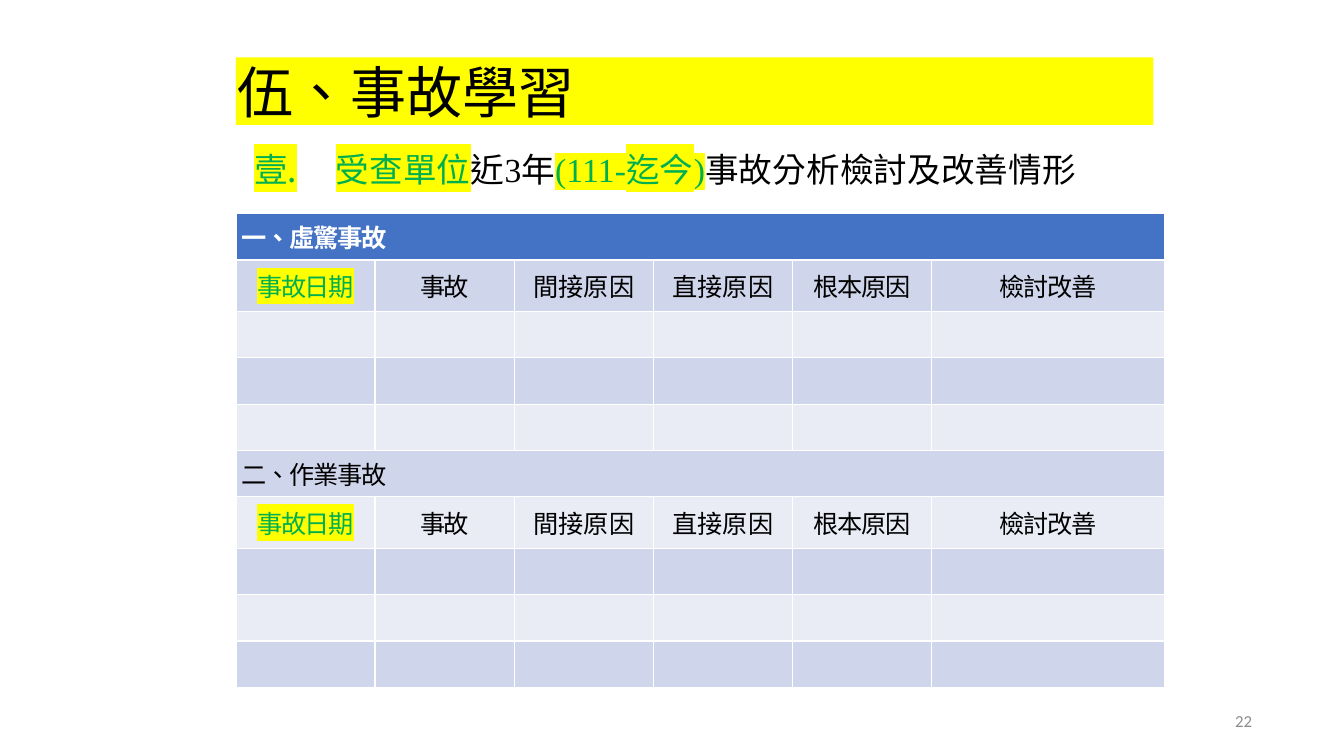
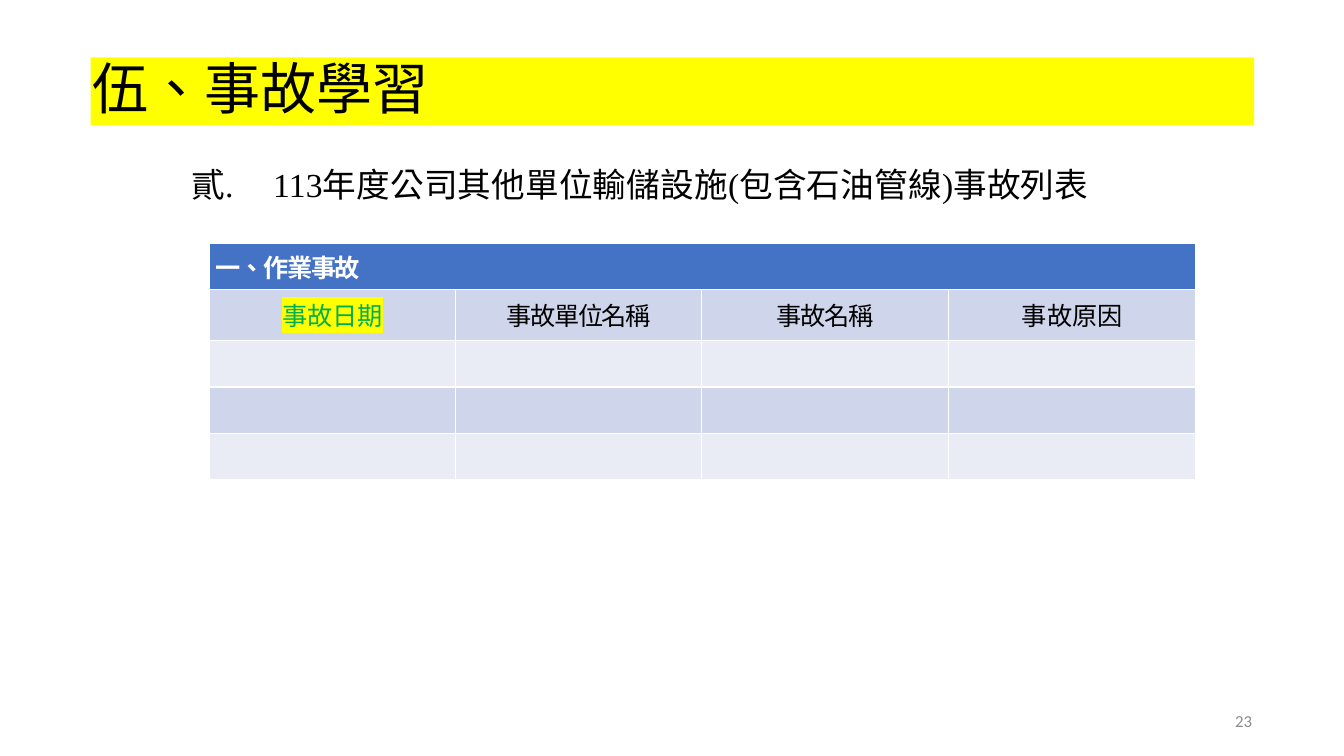
import pptx
import pptx.util
import pptx.dml.color
import pptx.enum.shapes
import pptx.enum.text
import pptx.oxml
import pptx.oxml.ns
from pptx.util import Inches

THEME = {
    "black": "000000", "white": "FFFFFF", "gray": "8C8C8C", "green": "00B050",
    "yellow": "FFFF00", "header": "4472C4", "bands": ("E9EBF5", "CFD5EA"),
    "serif": "Times New Roman", "sans": "Noto Sans CJK SC", "number": "Calibri",
    "title_size": 40, "subtitle_size": 24, "table_size": 18, "number_size": 12,
}
ALIGN = pptx.enum.text.PP_ALIGN
MIDDLE = pptx.enum.text.MSO_ANCHOR.MIDDLE


def rgb(color):
    return pptx.dml.color.RGBColor.from_string(color)


def add_run(paragraph, text, name, size, color="black", spacing=0, marked=False, bold=False):
    run = paragraph.add_run()
    run.text = text
    formats = {"name": THEME[name], "size": pptx.util.Pt(THEME[size]), "bold": bold}
    for attribute, value in formats.items():
        setattr(run.font, attribute, value)
    run.font.color.rgb = rgb(THEME[color])
    properties = run.font._element
    properties.set("lang", "zh-TW")
    properties.set("spc", str(round(spacing * 100)))
    latin = properties.find(pptx.oxml.ns.qn("a:latin"))
    namespace = pptx.oxml.ns.nsdecls("a")
    latin.addnext(pptx.oxml.parse_xml(f'<a:ea {namespace} typeface="{THEME["sans"]}"/>'))
    if marked:
        latin.addprevious(pptx.oxml.parse_xml(
            f'<a:highlight {namespace}><a:srgbClr val="{THEME["yellow"]}"/></a:highlight>'))


# Each heading is (text, letter spacing); the first one is highlighted
causes = [("事故日期", -1), ("事故", -1), ("間接原因", 0), ("直接原因", 0),
          ("根本原因", -1), ("檢討改善", -1)]
units = [("事故日期", 0), ("事故單位名稱", -1), ("事故名稱", -1), ("事故原因", 0)]

slides = [
    {
        "number": "22", "title_left": 2.34, "title_width": 9.1, "line_spacing": 1.0,
        "subtitle_at": (2.5, 1.48, 9.21, 0.4), "start": 1,
        # (text, letter spacing, highlighted)
        "subtitle": [("受查單位", 0.1, True), ("近", 0.1, False), ("3", -0.1, False),
                     ("年", 0.1, False), ("(111-迄今)", 0.1, True), ("事", -0.2, False),
                     ("故分析", 0.1, False), ("檢", -0.2, False), ("討", 0.1, False),
                     ("及", -0.2, False), ("改善情形", 0.1, False)],
        "table_at": (2.34, 2.12), "columns": [1.38] * 5 + [2.31],
        "headings": causes, "sections": ["一、虛驚事故", "二、作業事故"],
    },
    {
        "number": "23", "title_left": 0.9, "title_width": 11.54, "line_spacing": 0.9,
        "subtitle_at": (1.88, 1.63, 10.24, 0.4), "start": 2,
        "subtitle": [("113年度公司其他單位輸儲設施(包含石油管線)事故列表", 0.1, False)],
        "table_at": (2.08, 2.41), "columns": [2.44, 2.44, 2.45, 2.45],
        "headings": units, "sections": ["一、作業事故"],
    },
]
section_rows = [0.46, 0.51, 0.46, 0.46, 0.46]

presentation = pptx.Presentation()
presentation.slide_width = Inches(13.33)
presentation.slide_height = Inches(7.5)

for content in slides:
    slide = presentation.slides.add_slide(presentation.slide_layouts[6])

    # Title band
    band = slide.shapes.add_shape(
        pptx.enum.shapes.MSO_SHAPE.RECTANGLE, Inches(content["title_left"]), Inches(0.57),
        Inches(content["title_width"]), Inches(0.67))
    band.shadow.inherit = False
    band.fill.solid()
    band.fill.fore_color.rgb = rgb(THEME["yellow"])
    band.line.fill.background()

    # Subtitle and slide number
    subtitle = slide.shapes.add_textbox(*map(Inches, content["subtitle_at"]))
    number = slide.shapes.add_textbox(Inches(9.42), Inches(6.95), Inches(3), Inches(0.4))

    frame_format = {"margin_left": 0, "margin_top": 0, "margin_right": 0,
                    "margin_bottom": 0, "word_wrap": True}
    for shape, anchor in ((band, MIDDLE), (subtitle, pptx.enum.text.MSO_ANCHOR.TOP),
                          (number, MIDDLE)):
        for attribute, value in frame_format.items():
            setattr(shape.text_frame, attribute, value)
        shape.text_frame.vertical_anchor = anchor

    paragraph = band.text_frame.paragraphs[0]
    paragraph.alignment = ALIGN.LEFT
    paragraph.line_spacing = content["line_spacing"]
    paragraph._p.get_or_add_pPr().set("marL", str(Inches(0.02)))
    add_run(paragraph, "伍、事故學習", "serif", "title_size", spacing=0.1)

    paragraph = subtitle.text_frame.paragraphs[0]
    properties = paragraph._p.get_or_add_pPr()
    properties.set("marL", str(Inches(0.83)))
    properties.set("indent", str(Inches(-0.81)))
    properties.append(pptx.oxml.parse_xml(
        f'<a:buAutoNum {pptx.oxml.ns.nsdecls("a")} type="ea1ChtPeriod" '
        f'startAt="{content["start"]}"/>'))
    for text, spacing, marked in content["subtitle"]:
        add_run(paragraph, text, "serif", "subtitle_size",
                "green" if marked else "black", spacing, marked)

    paragraph = number.text_frame.paragraphs[0]
    paragraph.alignment = ALIGN.RIGHT
    add_run(paragraph, content["number"], "number", "number_size", "gray")

    # Accident table: each section has a full-width name, headings and three empty rows
    heights = section_rows * len(content["sections"])
    widths = content["columns"]
    left, top = content["table_at"]
    table = slide.shapes.add_table(
        len(heights), len(widths), Inches(left), Inches(top),
        Inches(sum(widths)), Inches(sum(heights))).table
    for column, width in zip(table.columns, widths):
        column.width = Inches(width)
    cell_format = {"margin_left": Inches(0.06), "margin_right": Inches(0.06),
                   "margin_top": Inches(0.03), "margin_bottom": Inches(0.03),
                   "vertical_anchor": MIDDLE}
    for row_index, height in enumerate(heights):
        table.rows[row_index].height = Inches(height)
        fill = THEME["bands"][row_index % 2] if row_index else THEME["header"]
        for cell in table.rows[row_index].cells:
            for attribute, value in cell_format.items():
                setattr(cell, attribute, value)
            cell.fill.solid()
            cell.fill.fore_color.rgb = rgb(fill)

    for section_index, section in enumerate(content["sections"]):
        first_row = section_index * len(section_rows)
        name_cell = table.cell(first_row, 0)
        name_cell.merge(table.cell(first_row, len(widths) - 1))
        is_header = first_row == 0
        add_run(name_cell.text_frame.paragraphs[0], section, "sans", "table_size",
                "white" if is_header else "black", -1, bold=is_header)
        for column_index, (heading, spacing) in enumerate(content["headings"]):
            paragraph = table.cell(first_row + 1, column_index).text_frame.paragraphs[0]
            paragraph.alignment = ALIGN.CENTER
            marked = column_index == 0
            add_run(paragraph, heading, "sans", "table_size",
                    "green" if marked else "black", spacing, marked)

presentation.save("out.pptx")
